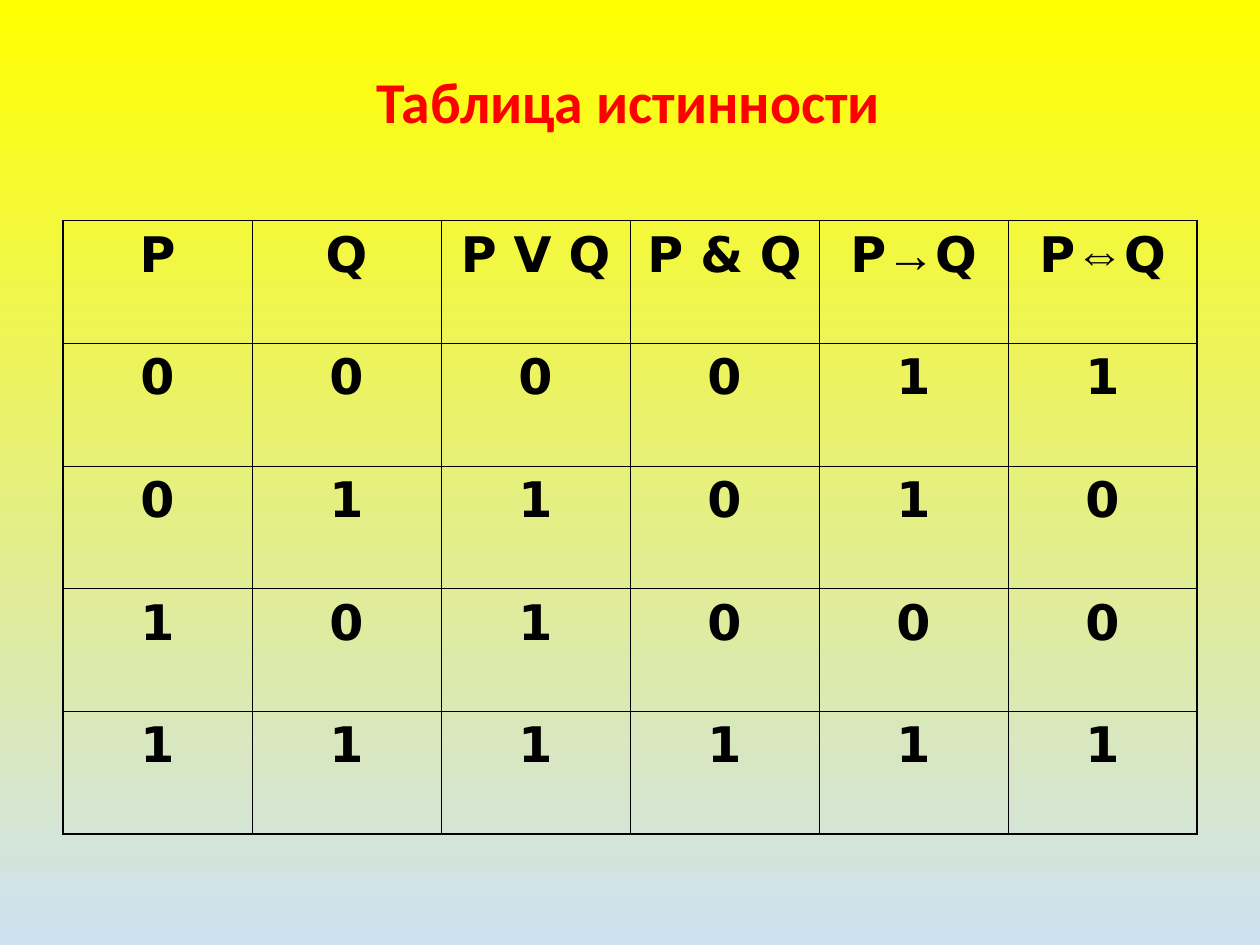
from itertools import product

from lxml import etree
from pptx import Presentation
from pptx.dml.color import RGBColor
from pptx.enum.text import MSO_ANCHOR, PP_ALIGN
from pptx.oxml.ns import qn
from pptx.util import Inches, Pt

CENTER = PP_ALIGN.CENTER
MIDDLE, TOP = MSO_ANCHOR.MIDDLE, MSO_ANCHOR.TOP
TITLE_ONLY = 5
BLACK, RED, YELLOW, PALE_BLUE = "000000", "FF0000", "FFFF00", "CEE1F2"
OUTER, INNER = 1.08, 0.45
HEADERS = ["P", "Q", "P V Q", "P & Q", "P→Q", "P⇔Q"]
SYMBOLS = "→⇔"


def rgb(value):
    return RGBColor.from_string(value)


def style_run(r, font, size, color):
    r.font.name = font
    r.font.size = Pt(size)
    r.font.bold = True
    r.font.color.rgb = rgb(color)


def set_background(s):
    fill = s.background.fill
    fill.gradient()
    fill.gradient_angle = 270
    for stop, color in zip(fill.gradient_stops, (YELLOW, PALE_BLUE)):
        stop.color.rgb = rgb(color)


def add_title(s, text, left, top, width, height):
    sp = s.shapes.title
    sp.left, sp.top = Inches(left), Inches(top)
    sp.width, sp.height = Inches(width), Inches(height)
    tf = sp.text_frame
    tf.text = text
    tf.vertical_anchor = MIDDLE
    p = tf.paragraphs[0]
    p.alignment = CENTER
    p.line_spacing = 0.9
    style_run(p.runs[0], "Calibri", 33, RED)


def set_border(cell, side, width):
    ln = etree.SubElement(cell._tc.get_or_add_tcPr(), qn(f"a:ln{side}"), w=str(int(Pt(width))))
    fill = etree.SubElement(ln, qn("a:solidFill"))
    etree.SubElement(fill, qn("a:srgbClr"), val=BLACK)


def split_symbols(text):
    for symbol in SYMBOLS:
        if symbol in text:
            before, after = text.split(symbol)
            return [before, symbol, after]
    return [text]


def fill_cell(cell, text):
    cell.vertical_anchor = TOP
    p = cell.text_frame.paragraphs[0]
    p.alignment = CENTER
    for part in split_symbols(text):
        r = p.add_run()
        r.text = part
        style_run(r, "Arial" if part in SYMBOLS else "DejaVu Sans", 28, BLACK)


def add_truth_table(s, left, top, width, height):
    values = [(p, q, p | q, p & q, int(p <= q), int(p == q))
              for p, q in product((0, 1), repeat=2)]
    rows = [HEADERS] + values
    last_row, last_col = len(rows) - 1, len(HEADERS) - 1
    frame = s.shapes.add_table(len(rows), len(HEADERS), Inches(left), Inches(top),
                               Inches(width), Inches(height))
    table = frame.table
    table.first_row = False
    table.horz_banding = False
    for i, row in enumerate(rows):
        for j, value in enumerate(row):
            cell = table.cell(i, j)
            fill_cell(cell, str(value))
            edges = {"L": j == 0, "R": j == last_col, "T": i == 0, "B": i == last_row}
            for side, is_outer in edges.items():
                set_border(cell, side, OUTER if is_outer else INNER)
            cell.fill.background()


def main():
    prs = Presentation()
    prs.slide_width, prs.slide_height = Inches(10), Inches(7.5)
    s = prs.slides.add_slide(prs.slide_layouts[TITLE_ONLY])
    set_background(s)
    add_title(s, "Таблица истинности", 0.48, 0.11, 9.02, 1.44)
    add_truth_table(s, 0.5, 1.75, 9, 4.87)
    prs.save("out.pptx")


if __name__ == "__main__":
    main()
